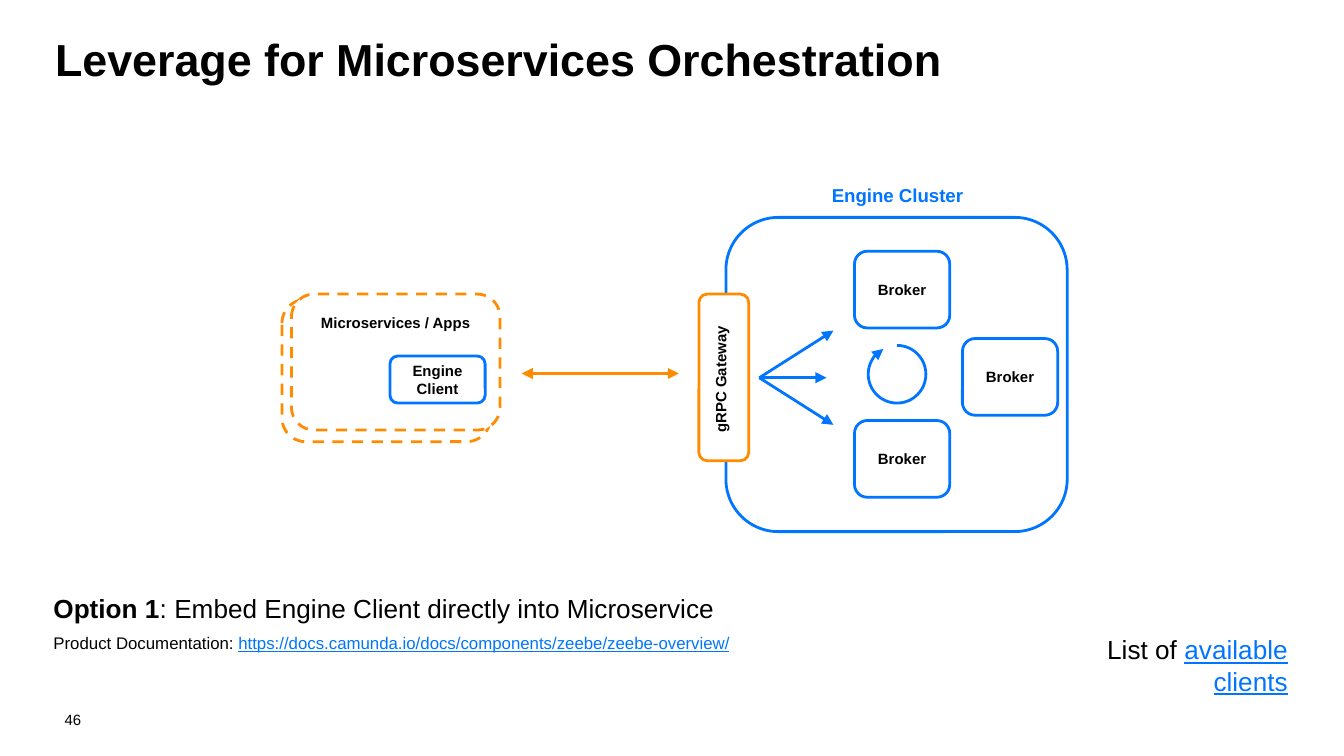
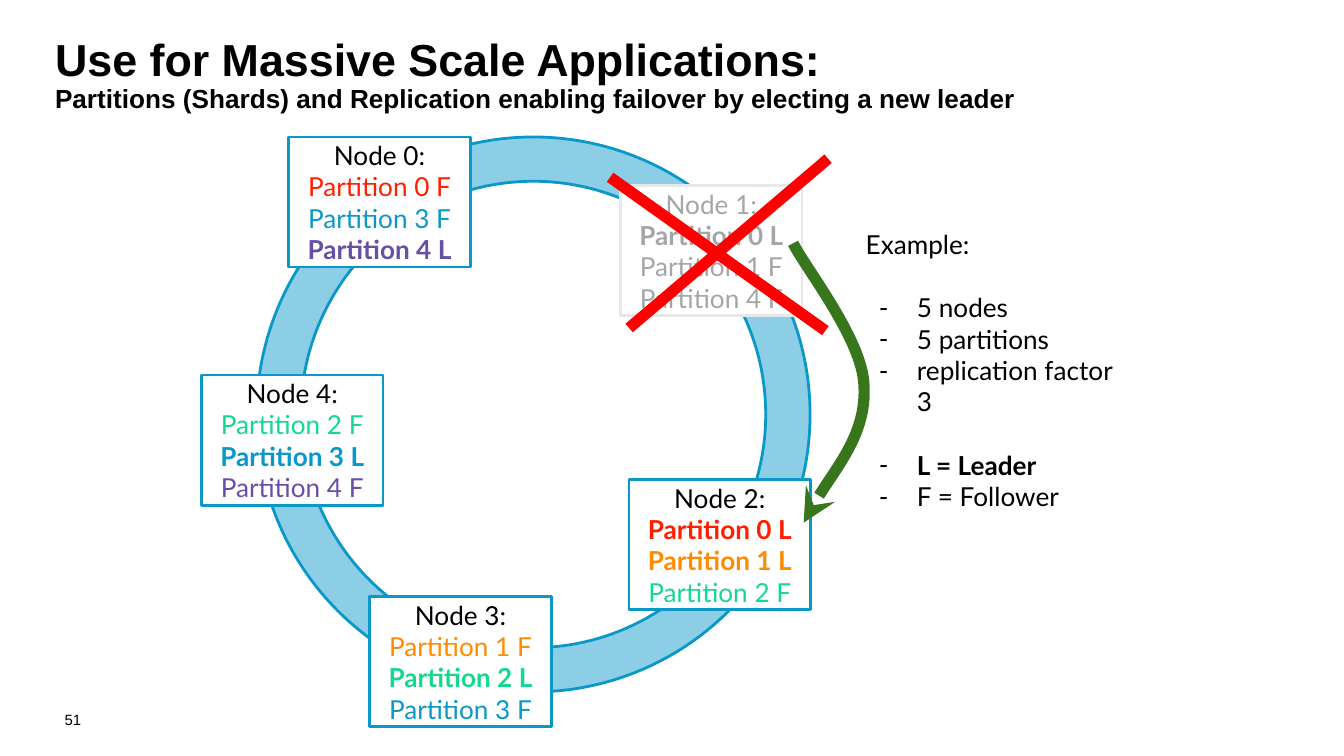
from pptx import Presentation
from pptx.dml.color import RGBColor
from pptx.enum.dml import MSO_LINE
from pptx.enum.shapes import MSO_CONNECTOR, MSO_SHAPE
from pptx.enum.text import MSO_ANCHOR, MSO_AUTO_SIZE, PP_ALIGN
from pptx.oxml.ns import qn
from pptx.oxml.xmlchemy import OxmlElement
from pptx.util import Cm, Pt

BLACK, WHITE, RED, GREEN = "000000", "FFFFFF", "FF0000", "38761D"
BLUE, ORANGE, RING = "0075FF", "FF8B00", "0998C8"
FADED_TEXT, FADED_LINE = "A5A5A5", "E6E7E8"
PARTITION_COLOURS = ["FF1E00", ORANGE, "14D890", RING, "674EA7"]
NODE_SIZE = (3.43, 2.46)
BROKER_SIZE = (1.8, 1.45)


def colour(value):
    return RGBColor.from_string(value)


def place(shape, left, top, width, height):
    shape.left, shape.top = Cm(left), Cm(top)
    shape.width, shape.height = Cm(width), Cm(height)


def set_frame(frame, inset=0.25, anchor=MSO_ANCHOR.TOP):
    frame.word_wrap = True
    frame.auto_size = MSO_AUTO_SIZE.NONE
    frame.vertical_anchor = anchor
    frame.margin_left = frame.margin_right = Cm(inset)
    frame.margin_top = frame.margin_bottom = Cm(inset)


def format_span(span, size, shade=BLACK, bold=False, font="Arial", underline=False):
    span.font.name = font
    span.font.size = Pt(size)
    span.font.bold = bold
    span.font.underline = underline
    span.font.color.rgb = colour(shade)


def write_lines(frame, lines, size, align=PP_ALIGN.CENTER, **style):
    frame.text = "\n".join(lines)
    for para in frame.paragraphs:
        para.alignment = align
        for span in para.runs:
            format_span(span, size, **style)


def add_spans(para, spans):
    for text, style in spans:
        span = para.add_run()
        span.text = text
        format_span(span, **style)


def set_bullet(para, mark=None, margin=0, indent=0):
    properties = para._p.get_or_add_pPr()
    properties.set("marL", str(Cm(margin)))
    properties.set("indent", str(Cm(indent)))
    bullet = OxmlElement("a:buChar" if mark else "a:buNone")
    if mark:
        bullet.set("char", mark)
    properties.append(bullet)
    para.space_before = Pt(0)


def style_line(line, shade, width=1.5, head=None, tail=None):
    line.color.rgb = colour(shade)
    line.width = Pt(width)
    for tag, kind in (("a:headEnd", head), ("a:tailEnd", tail)):
        if kind:
            end = OxmlElement(tag)
            end.set("type", kind)
            line._get_or_add_ln().append(end)


def add_outline(page, kind, area, shade, fill=WHITE, dashed=False, tail=None):
    shape = page.shapes.add_shape(kind, *map(Cm, area))
    shape.shadow.inherit = False
    if fill:
        shape.fill.solid()
        shape.fill.fore_color.rgb = colour(fill)
    else:
        shape.fill.background()
    if dashed:
        shape.line.dash_style = MSO_LINE.DASH
    style_line(shape.line, shade, tail=tail)
    return shape


def add_rounded_box(page, area, shade, text="", anchor=MSO_ANCHOR.MIDDLE, dashed=False):
    box = add_outline(page, MSO_SHAPE.ROUNDED_RECTANGLE, area, shade, dashed=dashed)
    if text:
        set_frame(box.text_frame, anchor=anchor)
        write_lines(box.text_frame, [text], 8, bold=True)


def add_line(page, start, end, shade, width=1.5, head=None, tail=None):
    connector = page.shapes.add_connector(
        MSO_CONNECTOR.STRAIGHT, *map(Cm, (*start, *end)))
    style_line(connector.line, shade, width, head, tail)
    connector._element.spPr.append(OxmlElement("a:effectLst"))


def add_curve(page, points, shade, width, tail):
    corners = [(Cm(x), Cm(y)) for x, y in points]
    builder = page.shapes.build_freeform(*corners[0])
    builder.add_line_segments(corners[1:], close=False)
    curve = builder.convert_to_shape()
    curve.shadow.inherit = False
    curve.fill.background()
    style_line(curve.line, shade, width, tail=tail)
    segments = list(curve._element.iter(qn("a:lnTo")))
    for first in range(0, len(segments), 3):
        bezier = OxmlElement("a:cubicBezTo")
        segments[first].addprevious(bezier)
        for segment in segments[first:first + 3]:
            bezier.append(segment[0])
            segment.getparent().remove(segment)


def add_label(page, area, text, size, shade=BLACK, rotation=0):
    box = page.shapes.add_textbox(*map(Cm, area))
    box.rotation = rotation
    set_frame(box.text_frame)
    write_lines(box.text_frame, [text], size, shade=shade, bold=True)


def add_page(deck, number, heading, body_area, body_inset, subtitle=None):
    page = deck.slides.add_slide(deck.slide_layouts[1])
    title = page.shapes.title
    place(title, 1.04, 0.71, 24.36 if subtitle else 23.34, 1.52)
    set_frame(title.text_frame, inset=0)
    lines = [heading, subtitle] if subtitle else [heading]
    write_lines(title.text_frame, lines, 24, PP_ALIGN.LEFT, bold=True)
    for para in title.text_frame.paragraphs:
        para.line_spacing = 0.9
    if subtitle:
        title.text_frame.paragraphs[1].runs[0].font.size = Pt(14)

    body = page.placeholders[1]
    place(body, *body_area)
    set_frame(body.text_frame, body_inset)

    footer = page.shapes.add_textbox(*map(Cm, (1.04, 13.44, 1.04, 0.33)))
    set_frame(footer.text_frame, 0.18, MSO_ANCHOR.MIDDLE)
    footer.text_frame.margin_top = footer.text_frame.margin_bottom = Cm(0.1)
    write_lines(footer.text_frame, [str(number)], 8, PP_ALIGN.LEFT)
    return page, body.text_frame


def add_cluster(page):
    add_rounded_box(page, (13.72, 4.11, 6.45, 5.94), BLUE)
    add_rounded_box(page, (13.21, 5.56, 0.94, 3.15), ORANGE)
    for corner in ((16.15, 4.75), (18.19, 6.4), (16.15, 7.95)):
        add_rounded_box(page, (*corner, *BROKER_SIZE), BLUE, "Broker")
    cycle = add_outline(page, MSO_SHAPE.ARC, (16.41, 6.53, 1.09, 1.09), BLUE,
                        fill=None, tail="triangle")
    cycle.adjustments[0], cycle.adjustments[1] = 162, 144.97
    for start_x, end in ((14.35, (15.75, 6.25)), (14.35, (15.75, 8.03)),
                         (14.4, (15.62, 7.14))):
        add_line(page, (start_x, 7.14), end, BLUE, tail="triangle")
    add_label(page, (15.37, 3.23, 3.18, 0.89), "Engine Cluster", 10, BLUE)
    add_label(page, (12.14, 6.65, 3.15, 1.04), "gRPC Gateway", 8, rotation=270)


def add_microservices(page):
    add_rounded_box(page, (5.33, 5.66, 3.94, 2.69), ORANGE, dashed=True)
    add_rounded_box(page, (5.51, 5.56, 3.94, 2.57), ORANGE,
                    "Microservices / Apps", MSO_ANCHOR.TOP, dashed=True)
    add_line(page, (9.86, 7.06), (12.83, 7.06), ORANGE,
             head="triangle", tail="triangle")
    add_rounded_box(page, (7.37, 6.73, 1.8, 0.89), BLUE, "Engine Client")


def build_orchestration(deck):
    page, body = add_page(deck, 46, "Leverage for Microservices Orchestration",
                          (0.76, 10.95, 13.56, 1.45), 0.25)
    link = {"shade": BLUE, "underline": True}
    option, documentation = body.paragraphs[0], body.add_paragraph()
    for para in (option, documentation):
        set_bullet(para)
    documentation.space_before = Pt(4.5)
    add_spans(option, [
        ("Option 1", {"size": 14, "bold": True}),
        (": Embed Engine Client directly into Microservice", {"size": 14})])
    add_spans(documentation, [
        ("Product Documentation: ", {"size": 9}),
        ("https://docs.camunda.io/docs/components/zeebe/zeebe-overview/",
         {"size": 9, **link})])

    add_cluster(page)
    add_microservices(page)

    clients = page.shapes.add_textbox(*map(Cm, (19.23, 11.73, 5.36, 1.09)))
    set_frame(clients.text_frame)
    para = clients.text_frame.paragraphs[0]
    para.alignment = PP_ALIGN.RIGHT
    add_spans(para, [("List of ", {"size": 14}),
                     ("available clients", {"size": 14, **link})])


def add_node(page, number, corner, replicas, failed=False):
    box = add_outline(page, MSO_SHAPE.RECTANGLE, (*corner, *NODE_SIZE),
                      FADED_LINE if failed else RING)
    set_frame(box.text_frame, 0.18, MSO_ANCHOR.MIDDLE)
    lines = [f"Node {number}:"]
    lines += [f"Partition {partition} {role}" for partition, role in replicas]
    write_lines(box.text_frame, lines, 14, font="Lato",
                shade=FADED_TEXT if failed else BLACK)
    for para, (partition, role) in zip(box.text_frame.paragraphs[1:], replicas):
        font = para.runs[0].font
        font.bold = role == "L"
        if not failed:
            font.color.rgb = colour(PARTITION_COLOURS[partition])


def add_ring(page):
    ring = add_outline(page, MSO_SHAPE.DONUT, (4.85, 2.59, 10.46, 10.49), RING, fill=RING)
    ring.adjustments[0] = 0.08
    alpha = OxmlElement("a:alpha")
    alpha.set("val", "47000")
    ring._element.spPr.find(qn("a:solidFill"))[0].append(alpha)


def write_example(frame):
    lines = ["Example:", "5 nodes", "5 partitions", "replication factor 3",
             "L = Leader", "F = Follower"]
    write_lines(frame, lines, 14, PP_ALIGN.LEFT, font="Lato")
    heading, *items = frame.paragraphs
    set_bullet(heading)
    for item in items:
        set_bullet(item, "-", 0.97, -0.71)
    leader = items[3]
    leader.runs[0].font.bold = True
    for group_start in (items[0], leader):
        group_start.space_before = Pt(17)


def build_replication(deck):
    page, body = add_page(
        deck, 51, "Use for Massive Scale Applications:", (16.18, 4.14, 5.41, 5.41), 0.18,
        "Partitions (Shards) and Replication enabling failover by electing a new leader")
    write_example(body)
    add_ring(page)
    add_node(page, 0, (5.46, 2.59), [(0, "F"), (3, "F"), (4, "L")])
    add_node(page, 1, (11.73, 3.51), [(0, "L"), (1, "F"), (4, "F")], failed=True)
    add_node(page, 2, (11.89, 9.07), [(0, "L"), (1, "L"), (2, "F")])
    add_node(page, 4, (3.81, 7.09), [(2, "F"), (3, "L"), (4, "F")])
    add_node(page, 3, (6.99, 11.28), [(1, "F"), (2, "L"), (3, "F")])
    add_line(page, (15.65, 3), (11.89, 6.2), RED, 6)
    add_line(page, (11.53, 3.35), (15.6, 6.25), RED, 6)
    add_curve(page, [(14.99, 4.6), (15.21, 5.05), (16.31, 6.43), (16.33, 7.29),
                     (16.38, 8.18), (15.37, 9.45), (15.19, 9.88)], GREEN, 6, "stealth")


def main():
    deck = Presentation()
    deck.slide_width, deck.slide_height = Cm(25.4), Cm(14.29)
    build_orchestration(deck)
    build_replication(deck)
    deck.save("out.pptx")


if __name__ == "__main__":
    main()
